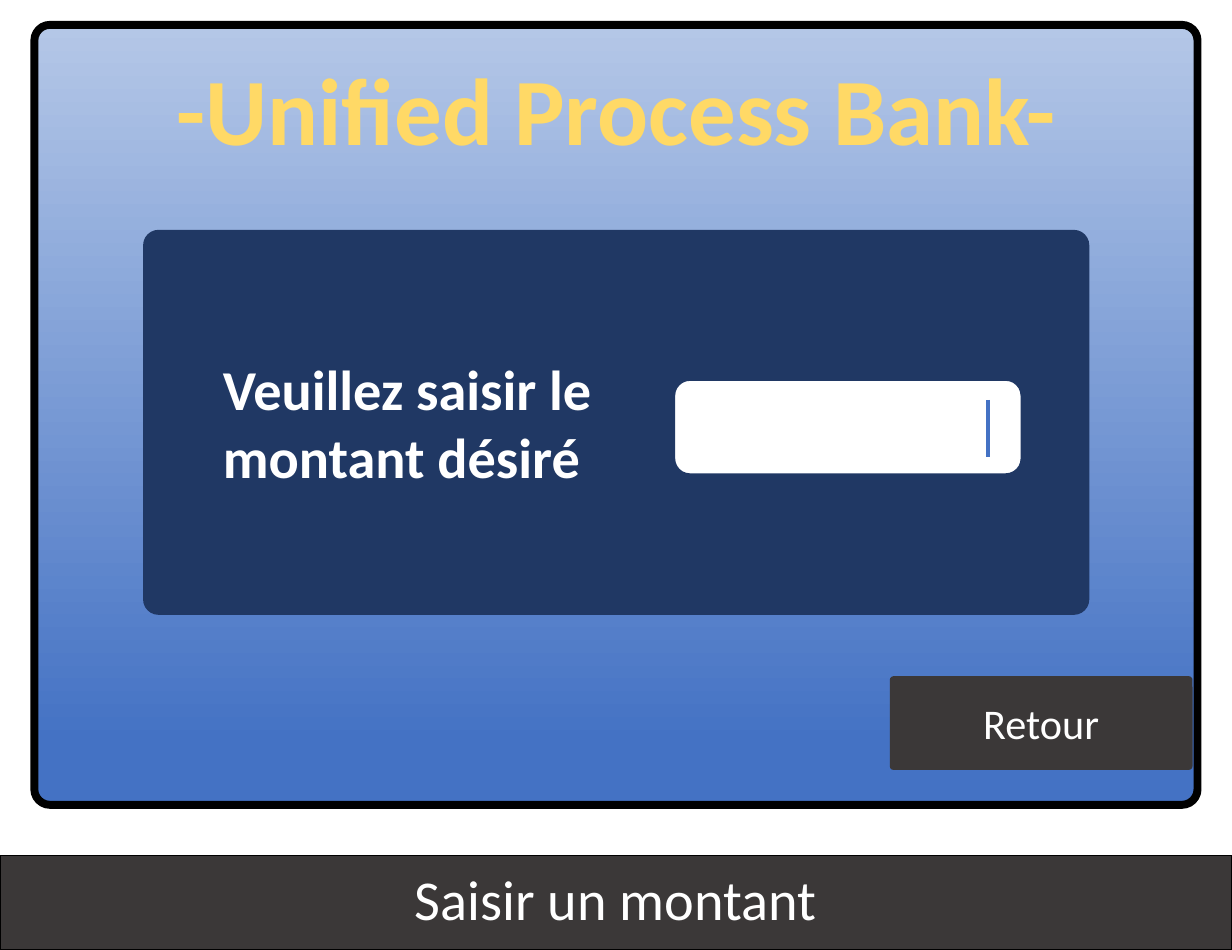
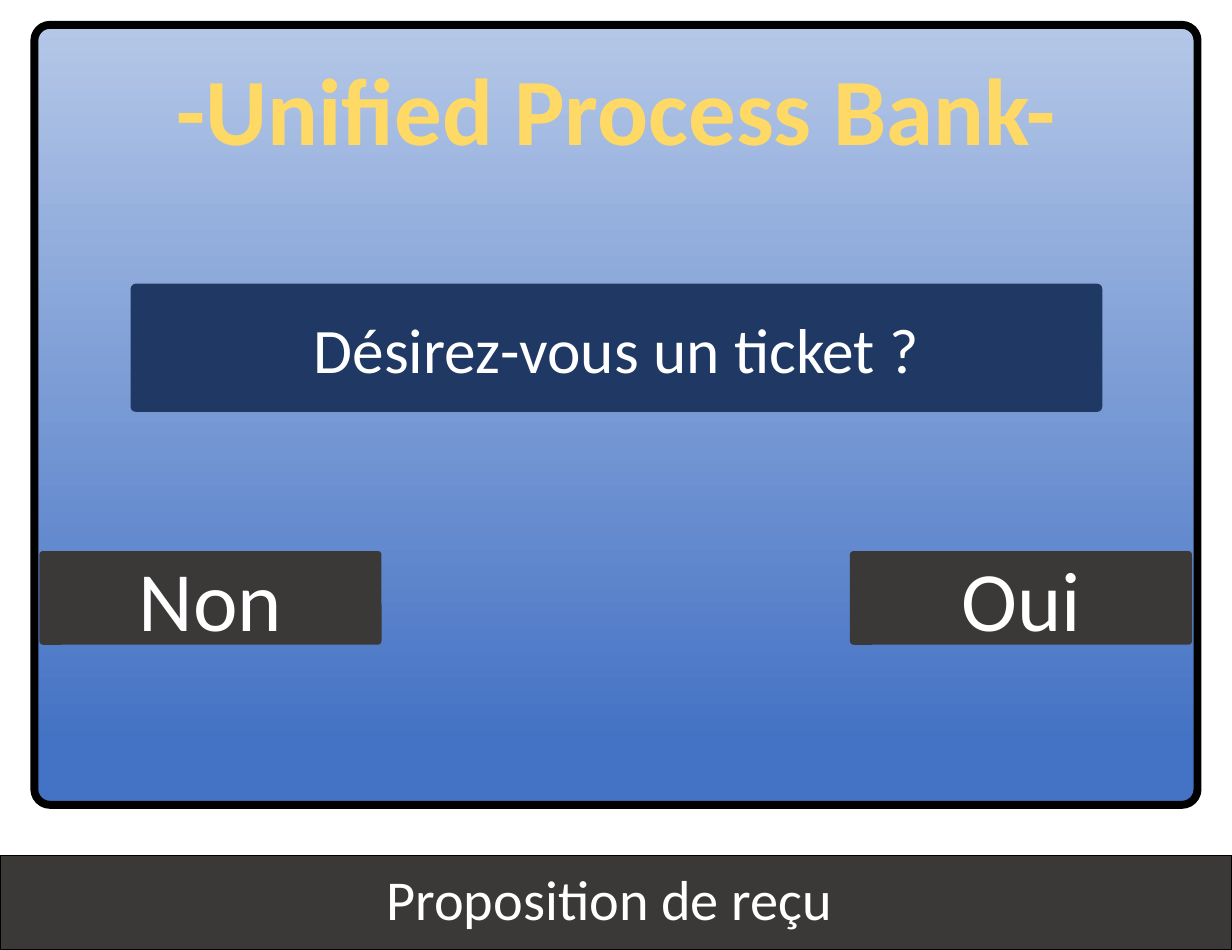
from lxml import etree
from pptx import Presentation
from pptx.dml.color import RGBColor
from pptx.enum.shapes import MSO_CONNECTOR, MSO_SHAPE
from pptx.enum.text import MSO_ANCHOR, MSO_AUTO_SIZE, PP_ALIGN
from pptx.oxml import parse_xml
from pptx.oxml.ns import qn
from pptx.util import Cm, Pt

RECT = MSO_SHAPE.RECTANGLE
ROUND = MSO_SHAPE.ROUNDED_RECTANGLE
STRAIGHT = MSO_CONNECTOR.STRAIGHT
MIDDLE = MSO_ANCHOR.MIDDLE
FIT = MSO_AUTO_SIZE.SHAPE_TO_FIT_TEXT
LEFT, CENTER = PP_ALIGN.LEFT, PP_ALIGN.CENTER

FONT = "Calibri"
BLACK = RGBColor(0x00, 0x00, 0x00)
WHITE = RGBColor(0xFF, 0xFF, 0xFF)
DARK = RGBColor(0x3B, 0x38, 0x38)
NAVY = RGBColor(0x20, 0x38, 0x64)
BLUE = RGBColor(0x44, 0x72, 0xC4)
PALE = RGBColor(0xB4, 0xC7, 0xE7)
GOLD = RGBColor(0xFF, 0xD9, 0x66)
GRAY = RGBColor(0x76, 0x71, 0x71)

WIDTH, HEIGHT = 24.7, 19.05
BAND = 1.9
KEY = 1.88
CURVE = 0.04


def write(shape, text, size, color=WHITE, bold=False, align=CENTER):
    para = shape.text_frame.paragraphs[0]
    para.text = text
    para.alignment = align
    font = para.runs[0].font
    font.name = FONT
    font.size = Pt(size)
    font.bold = bold
    font.color.rgb = color
    return para


def add_box(slide, kind, left, top, width, height, fill=None, line=None, weight=1, curve=None):
    box = slide.shapes.add_shape(kind, Cm(left), Cm(top), Cm(width), Cm(height))
    box.shadow.inherit = False
    if fill is not None:
        box.fill.solid()
        box.fill.fore_color.rgb = fill
    if line is None:
        box.line.fill.background()
    else:
        box.line.color.rgb = line
        box.line.width = Pt(weight)
    if curve is not None:
        box.adjustments[0] = curve
    box.text_frame.vertical_anchor = MIDDLE
    return box


def add_label(slide, text, left, top, width, height, size, color, align, wrap):
    label = slide.shapes.add_textbox(Cm(left), Cm(top), Cm(width), Cm(height))
    label.text_frame.word_wrap = wrap
    label.text_frame.auto_size = FIT
    return write(label, text, size, color, True, align)


def add_button(slide, text, size, left, top, width, height=KEY, fill=DARK):
    button = add_box(slide, ROUND, left, top, width, height, fill, curve=CURVE)
    write(button, text, size)


def add_band(slide, text):
    band = add_box(slide, RECT, 0, HEIGHT - BAND, WIDTH, BAND, DARK, BLACK, 0.75)
    para = write(band, text, 32)
    para.line_spacing = 0.9
    para.space_before = Pt(9.7)


def add_screen(slide):
    screen = add_box(slide, ROUND, 0.69, 0.5, 23.32, 15.64, line=BLACK, weight=4.5, curve=0.02)
    screen.fill.gradient()
    screen.fill.gradient_angle = 90
    for stop, color, place in zip(screen.fill.gradient_stops, (BLUE, PALE), (0.08, 1)):
        stop.color.rgb = color
        stop.position = place


def add_title(slide):
    para = add_label(slide, "-Unified Process Bank-", 3.15, 0.89, 18.42, 2.57, 54, GOLD, CENTER, False)
    edge = parse_xml(
        '<a:ln xmlns:a="http://schemas.openxmlformats.org/drawingml/2006/main" w="9525">'
        f'<a:solidFill><a:srgbClr val="{GRAY}"/></a:solidFill></a:ln>'
    )
    para.runs[0].font._element.insert(0, edge)


def add_cursor(slide, left, top, bottom):
    cursor = slide.shapes.add_connector(STRAIGHT, Cm(left), Cm(top), Cm(left), Cm(bottom))
    cursor.line.color.rgb = BLUE
    cursor.line.width = Pt(2.25)
    etree.SubElement(cursor._element.spPr, qn("a:effectLst"))


def start_slide(deck, caption):
    slide = deck.slides.add_slide(deck.slide_layouts[6])
    add_band(slide, caption)
    add_screen(slide)
    return slide


def add_amount(deck):
    slide = start_slide(deck, "Saisir un montant")
    add_box(slide, ROUND, 2.87, 4.61, 18.97, 7.72, NAVY, curve=CURVE)
    add_title(slide)
    add_label(slide, "Veuillez saisir le montant désiré ", 4.22, 6.98, 7.98, 3, 32, WHITE, LEFT, True)
    add_box(slide, ROUND, 13.52, 7.62, 6.96, 1.89, WHITE, NAVY)
    add_cursor(slide, 19.81, 8.02, 9.16)
    add_button(slide, "Retour", 24, 17.84, 13.56, 6.07)


def add_receipt(deck):
    slide = start_slide(deck, "Proposition de reçu ")
    for text, left in (("Non", 0.79), ("Oui", 17.04)):
        add_button(slide, text, 48, left, 11.05, 6.86)
    add_button(slide, "Désirez-vous un ticket ?", 36, 2.62, 5.69, 19.48, 2.57, NAVY)
    add_title(slide)


def main():
    deck = Presentation()
    deck.slide_width = Cm(WIDTH)
    deck.slide_height = Cm(HEIGHT)
    add_amount(deck)
    add_receipt(deck)
    deck.save("out.pptx")


main()
